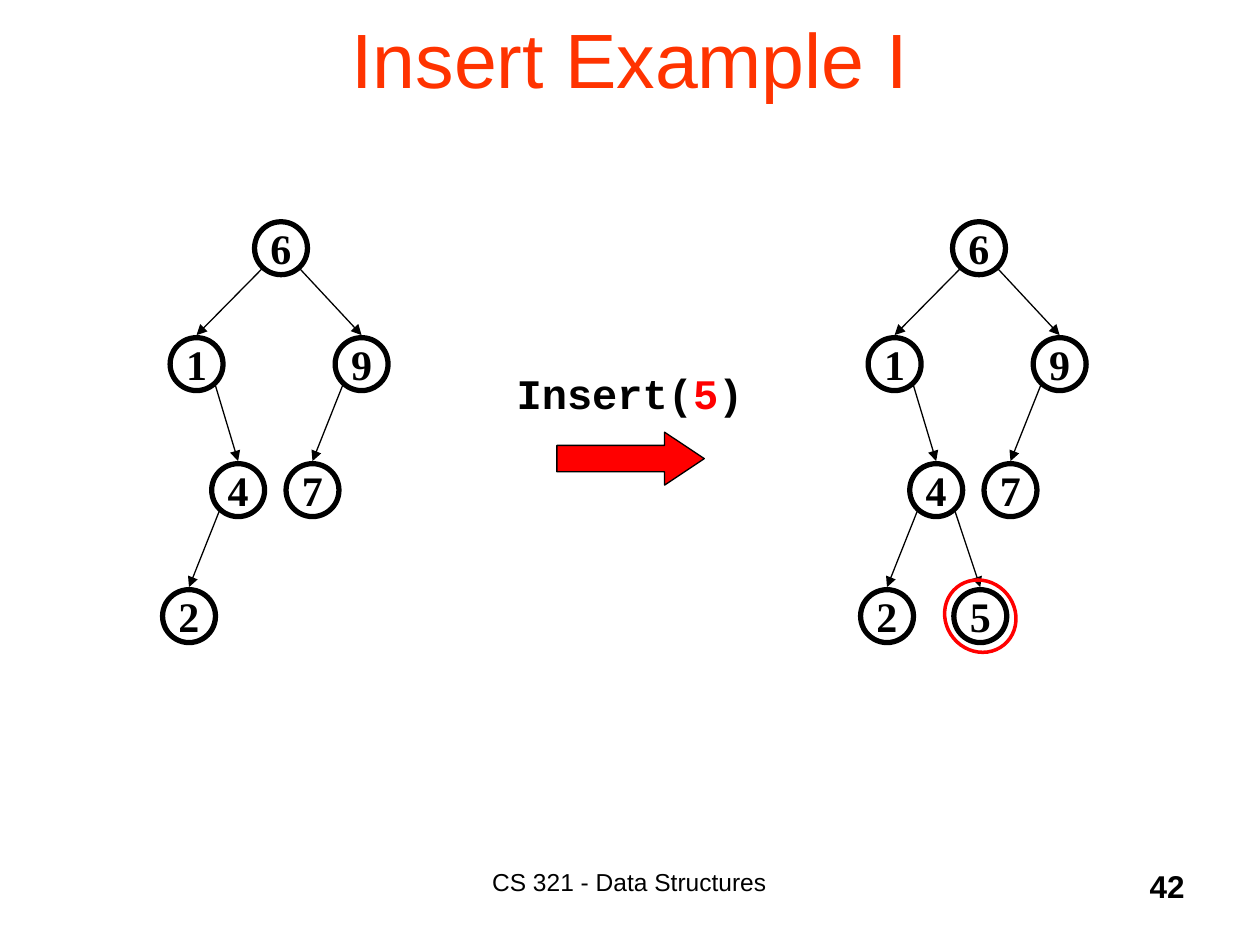
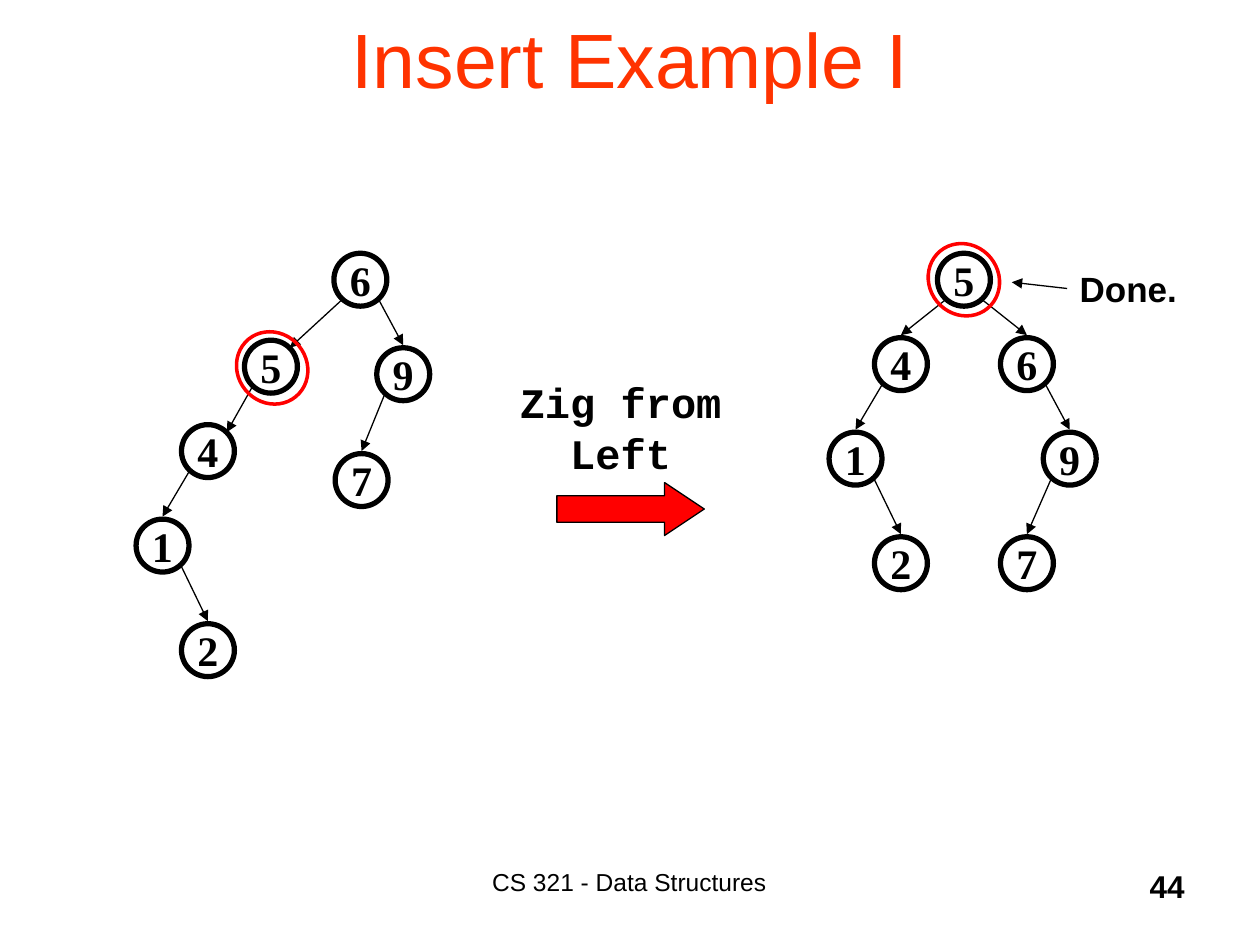
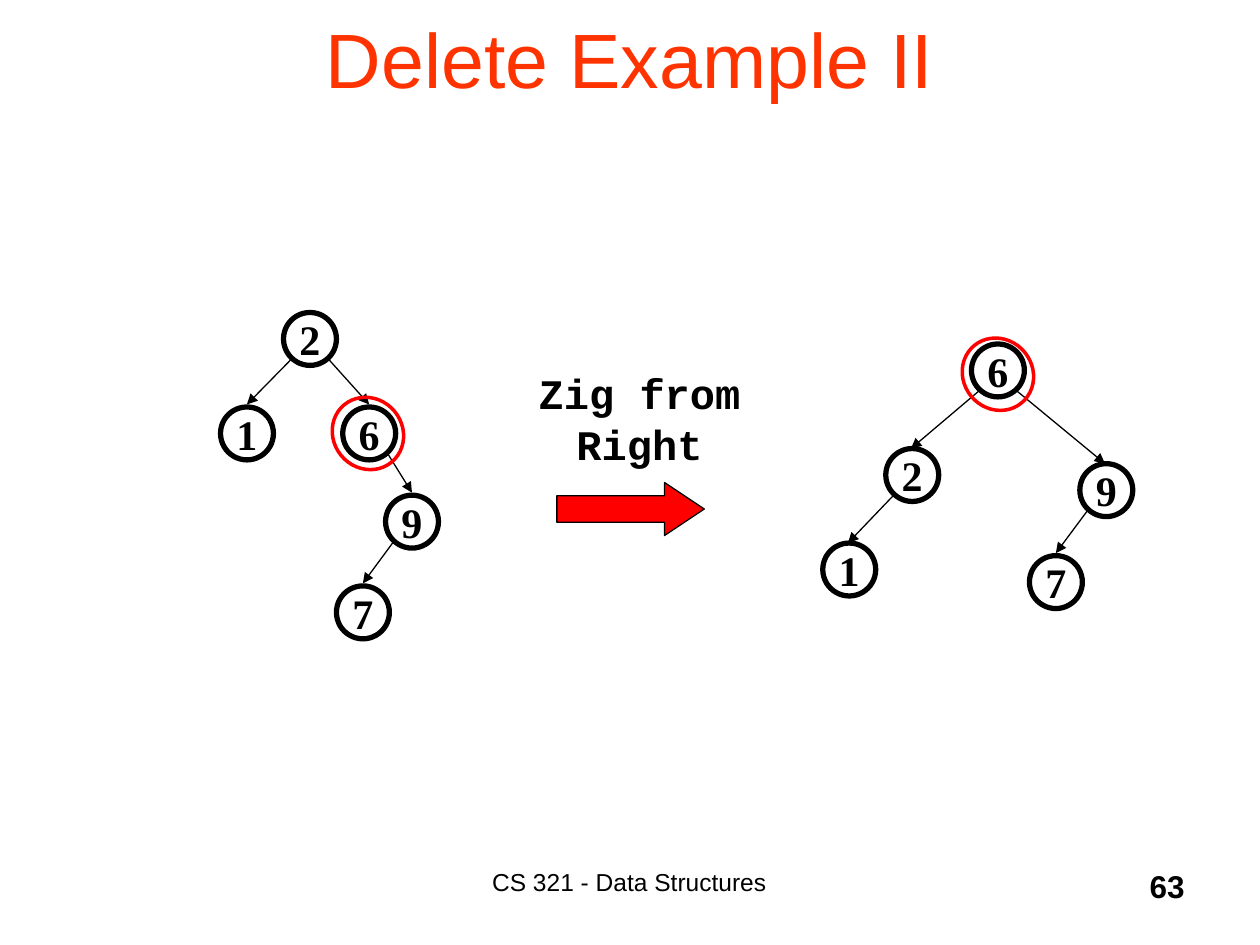
from dataclasses import dataclass
from typing import NamedTuple

from lxml.etree import SubElement
from pptx import Presentation
from pptx.dml.color import RGBColor
from pptx.enum.shapes import MSO_CONNECTOR, MSO_SHAPE
from pptx.enum.text import MSO_ANCHOR, PP_ALIGN
from pptx.oxml.ns import qn
from pptx.util import Inches, Length, Pt


# Theme: colours, type and line widths
class Style(NamedTuple):
    font: str
    size: float
    bold: bool
    color: RGBColor


BLACK = RGBColor(0, 0, 0)
RED = RGBColor(0xFF, 0, 0)


@dataclass(frozen=True)
class Theme:
    ink: RGBColor = BLACK
    accent: RGBColor = RED
    title: Style = Style("Arial", 44, False, RGBColor(0xFF, 0x33, 0))
    footer: Style = Style("Arial", 14, False, BLACK)
    page: Style = Style("Arial", 18, True, BLACK)
    operation: Style = Style("Courier New", 24, True, BLACK)
    key: Style = Style("Times New Roman", 24, True, BLACK)
    note: Style = Style("Arial", 20, True, BLACK)
    thin: float = 0.75
    ring: float = 2
    thick: float = 3


THEME = Theme()

# Grid: 100 columns by 75 square rows
COLUMNS, ROWS = 100, 75
SLIDE_WIDTH, SLIDE_HEIGHT = Inches(10), Inches(7.5)


class Point(NamedTuple):
    x: float
    y: float

    def moved(self, dx: float, dy: float) -> "Point":
        return Point(self.x + dx, self.y + dy)


class Box(NamedTuple):
    left: float
    top: float
    width: float
    height: float


def grid(*cells: float) -> list[Length]:
    return [Length(round(cell * SLIDE_WIDTH / COLUMNS)) for cell in cells]


def centred(center: Point, width: float, height: float) -> Box:
    return Box(center.x - width / 2, center.y - height / 2, width, height)


# Tree measures, in grid cells
NODE_SIZE = 4.2
RING_WIDTH, RING_HEIGHT, RING_TURN = 5.5, 5.9, 320.5
EDGE_START = Point(1.47, 1.6)
TOP = Point(0, -2.3)
TOUCHING_TOP = Point(-0.1, -2.1)
UPPER_RIGHT = Point(1.5, -1.5)


class Node(NamedTuple):
    key: str
    dx: float = 0  # offset from the root
    dy: float = 0
    parent: str = ""
    landing: Point = TOP  # where the edge from the parent ends


@dataclass(frozen=True)
class Tree:
    root: Point
    nodes: tuple[Node, ...]
    ring: Point | None = None


@dataclass(frozen=True)
class Step:
    title: str
    page: str
    operation: tuple[tuple[str, RGBColor], ...]
    operation_box: Box
    wrapped: bool
    arrow_top: float
    trees: tuple[Tree, Tree]
    note: str = ""


# Drawing helpers
def add_text(slide, box: Box, text: str, style: Style,
             align: PP_ALIGN = PP_ALIGN.CENTER, wrap: bool = True):
    text_box = slide.shapes.add_textbox(*grid(*box))
    text_box.text_frame.word_wrap = wrap
    paragraph = write(text_box, text, style, align)
    return text_box, paragraph


def write(shape, text: str, style: Style, align: PP_ALIGN = PP_ALIGN.CENTER):
    paragraph = shape.text_frame.paragraphs[0]
    if text:
        paragraph.text = text
    paragraph.alignment = align
    font = paragraph.font
    font.name, font.size, font.bold = style.font, Pt(style.size), style.bold
    font.color.rgb = style.color
    return paragraph


def add_outline(slide, kind: MSO_SHAPE, box: Box, color: RGBColor, width: float):
    shape = slide.shapes.add_shape(kind, *grid(*box))
    shape.shadow.inherit = False
    shape.fill.background()
    shape.line.color.rgb = color
    shape.line.width = Pt(width)
    return shape


def add_arrow(slide, start: Point, end: Point) -> None:
    connector = slide.shapes.add_connector(MSO_CONNECTOR.STRAIGHT, *grid(*start, *end))
    connector.line.color.rgb = THEME.ink
    connector.line.width = Pt(THEME.thin)
    SubElement(connector.line._get_or_add_ln(), qn("a:tailEnd"), type="triangle")
    SubElement(connector._element.spPr, qn("a:effectLst"))


def add_tree(slide, tree: Tree) -> None:
    centers = {node.key: tree.root.moved(node.dx, node.dy) for node in tree.nodes}
    for node in tree.nodes:
        center = centers[node.key]
        circle = add_outline(slide, MSO_SHAPE.OVAL, centred(center, NODE_SIZE, NODE_SIZE),
                             THEME.ink, THEME.thick)
        circle.text_frame.word_wrap = False
        circle.text_frame.vertical_anchor = MSO_ANCHOR.MIDDLE
        write(circle, node.key, THEME.key)
        if node.parent:
            parent = centers[node.parent]
            side = -1 if center.x < parent.x else 1
            add_arrow(slide, parent.moved(side * EDGE_START.x, EDGE_START.y),
                      center.moved(*node.landing))
    if tree.ring:
        ring = add_outline(slide, MSO_SHAPE.OVAL, centred(tree.ring, RING_WIDTH, RING_HEIGHT),
                           THEME.accent, THEME.ring)
        ring.rotation = RING_TURN


def add_frame(slide, title: str, page: str) -> None:
    title_box, _ = add_text(slide, Box(7.5, -1.7, 85, 12.5), title, THEME.title)
    title_box.text_frame.vertical_anchor = MSO_ANCHOR.MIDDLE
    add_text(slide, Box(30.8, 68.3, 38.3, 5), "CS 321 - Data Structures", THEME.footer)
    add_text(slide, Box(74.2, 68.3, 20.8, 5), page, THEME.page, PP_ALIGN.RIGHT)


def add_step(presentation, step: Step) -> None:
    slide = presentation.slides.add_slide(presentation.slide_layouts[6])
    add_frame(slide, step.title, step.page)

    # Operation and its block arrow
    _, paragraph = add_text(slide, step.operation_box, "", THEME.operation, wrap=step.wrapped)
    for text, color in step.operation:
        run = paragraph.add_run()
        run.text = text
        run.font.color.rgb = color
    arrow = add_outline(slide, MSO_SHAPE.RIGHT_ARROW, Box(44.2, step.arrow_top, 11.7, 4.2),
                        THEME.ink, THEME.thin)
    arrow.adjustments[1] = 0.75
    arrow.fill.solid()
    arrow.fill.fore_color.rgb = THEME.accent

    for tree in step.trees:
        add_tree(slide, tree)

    if step.note:
        _, paragraph = add_text(slide, Box(84.7, 20.7, 10, 4.4), step.note, THEME.note,
                                PP_ALIGN.LEFT)
        paragraph.space_before = Pt(4)
        add_arrow(slide, Point(84.7, 22.9), Point(80.3, 22.4))


# Content
BEFORE_INSERT = (
    Node("6"),
    Node("1", -6.7, 9.2, "6"),
    Node("9", 6.4, 9.2, "6"),
    Node("4", -3.4, 19.2, "1"),
    Node("7", 2.5, 19.2, "9"),
    Node("2", -7.3, 29.2, "4"),
)

STEPS = (
    Step("Insert Example I", "42",
         (("Insert(", THEME.ink), ("5", THEME.accent), (")", THEME.ink)),
         Box(39.9, 28.7, 20.2, 5), False, 34.3,
         (Tree(Point(22.3, 19.7), BEFORE_INSERT),
          Tree(Point(77.7, 19.7), BEFORE_INSERT + (Node("5", 0.1, 29.2, "4"),),
               ring=Point(77.8, 48.9)))),
    Step("Insert Example I", "44", (("Zig from Left", THEME.ink),),
         Box(40, 29.4, 18.5, 9.1), True, 38.3,
         (Tree(Point(28.6, 22.2), (
             Node("6"),
             Node("5", -7.1, 6.9, "6", UPPER_RIGHT),
             Node("9", 3.4, 7.5, "6"),
             Node("4", -12.1, 13.6, "5", UPPER_RIGHT),
             Node("7", 0.1, 15.9, "9"),
             Node("1", -15.7, 21.1, "4"),
             Node("2", -12.1, 29.4, "1"),
         ), ring=Point(21.6, 29.2)),
          Tree(Point(76.5, 22.2), (
              Node("5"),
              Node("4", -5, 6.7, "5"),
              Node("6", 5, 6.7, "5"),
              Node("1", -8.6, 14.2, "4"),
              Node("9", 8.4, 14.2, "6"),
              Node("2", -5, 22.5, "1"),
              Node("7", 5, 22.5, "9"),
          ), ring=Point(76.5, 22.2))),
         note="Done."),
    Step("Delete Example II", "63", (("Zig from Right", THEME.ink),),
         Box(40.5, 28.7, 20.5, 9.1), True, 38.3,
         (Tree(Point(24.6, 26.9), (
             Node("2"),
             Node("1", -5, 7.5, "2"),
             Node("6", 4.7, 7.5, "2"),
             Node("9", 8.1, 14.5, "6"),
             Node("7", 4.2, 21.7, "9"),
         ), ring=Point(29.2, 34.4)),
          Tree(Point(79.2, 29.4), (
              Node("6"),
              Node("2", -6.8, 8.3, "6", TOUCHING_TOP),
              Node("9", 8.6, 9.5, "6", TOUCHING_TOP),
              Node("1", -11.8, 15.8, "2", TOUCHING_TOP),
              Node("7", 4.6, 16.8, "9"),
          ), ring=Point(79.2, 29.7)))),
)


def main() -> None:
    presentation = Presentation()
    presentation.slide_width, presentation.slide_height = grid(COLUMNS, ROWS)
    for step in STEPS:
        add_step(presentation, step)
    presentation.save("out.pptx")


if __name__ == "__main__":
    main()
